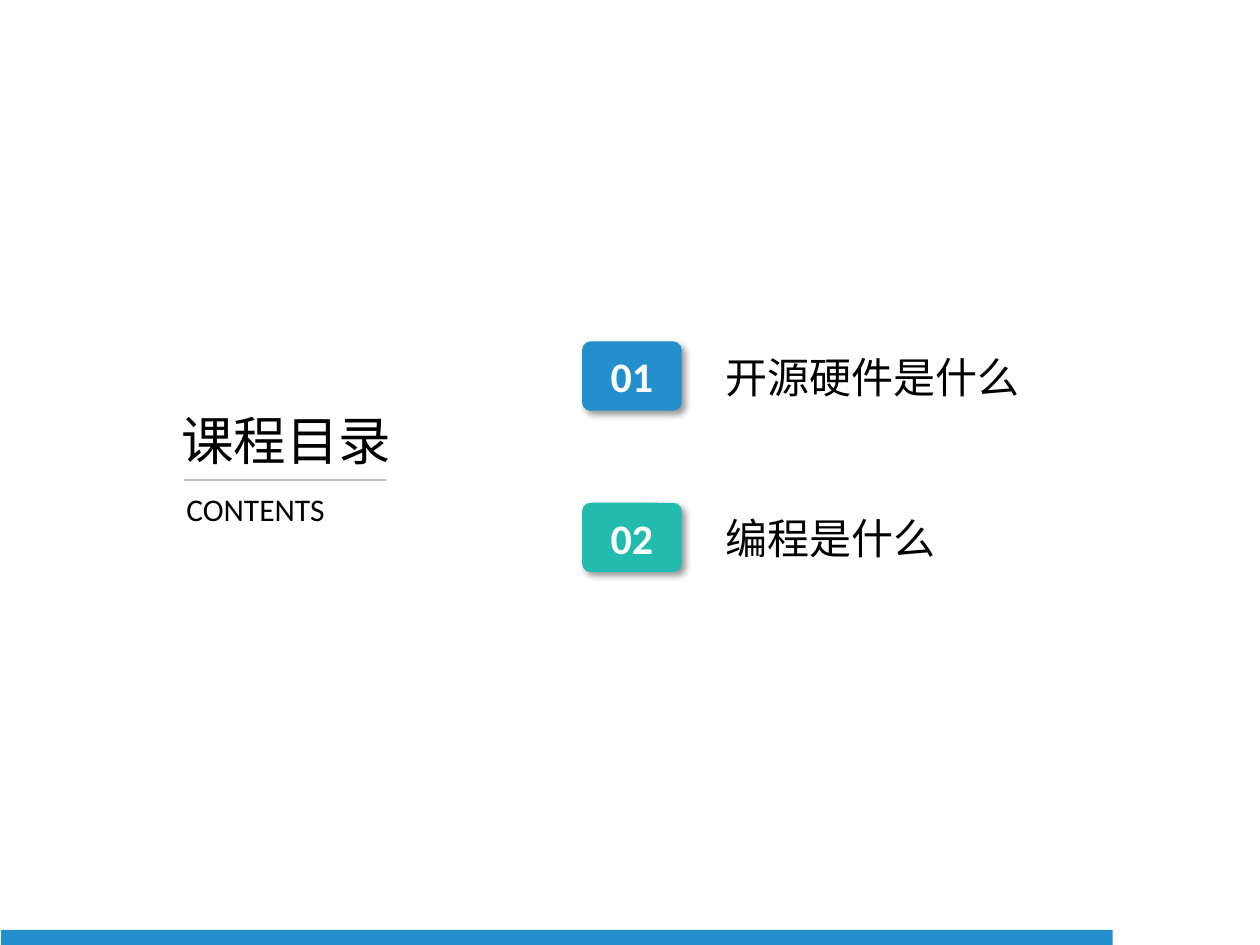
import pptx
import pptx.dml.color
import pptx.enum.shapes
import pptx.enum.text
import pptx.oxml
import pptx.oxml.ns
import pptx.util
from pptx.util import Inches

BLUE, TEAL, GREY = "2390CD", "22BCAF", "BFBFBF"
BLACK, WHITE = "000000", "FFFFFF"
CJK_FONT = "Noto Sans CJK SC"
SHAPES = pptx.enum.shapes.MSO_SHAPE
ALIGN = pptx.enum.text.PP_ALIGN
NAMESPACE = pptx.oxml.ns.nsdecls("a")


def rgb(hex_colour):
    return pptx.dml.color.RGBColor.from_string(hex_colour)


def write(shape, text, size, colour=BLACK, font="Calibri", bold=False, align=None):
    """Put one run in the shape, with the CJK font for Chinese characters."""
    paragraph = shape.text_frame.paragraphs[0]
    paragraph.alignment = align
    run = paragraph.add_run()
    run.text = text
    run.font.name = font
    run.font.size = pptx.util.Pt(size)
    run.font.bold = bold
    run.font.color.rgb = rgb(colour)
    run.font._element.append(
        pptx.oxml.parse_xml(f'<a:ea {NAMESPACE} typeface="{CJK_FONT}"/>'))


deck = pptx.Presentation()
deck.slide_width, deck.slide_height = Inches(10), Inches(7.5)
slide = deck.slides.add_slide(deck.slide_layouts[6])

# Footer bar
footer = slide.shapes.add_shape(
    SHAPES.RECTANGLE, Inches(0.01), Inches(7.38), Inches(8.82), Inches(0.12))
footer.shadow.inherit = False
footer.fill.solid()
footer.fill.fore_color.rgb = rgb(BLUE)
footer.line.fill.background()

# Heading on the left
subtitle = slide.shapes.add_textbox(Inches(1.38), Inches(3.84), Inches(1.78), Inches(0.4))
subtitle.text_frame.word_wrap = True
write(subtitle, "CONTENTS", 18, align=ALIGN.JUSTIFY)

title = slide.shapes.add_textbox(Inches(1.34), Inches(3.19), Inches(1.88), Inches(0.61))
title.text_frame.word_wrap = False
write(title, "课程目录", 30, font=CJK_FONT)

divider = slide.shapes.add_connector(
    pptx.enum.shapes.MSO_CONNECTOR.STRAIGHT,
    Inches(1.46), Inches(3.81), Inches(3.06), Inches(3.81))
divider.line.color.rgb = rgb(GREY)
divider.line.width = pptx.util.Pt(1.5)
divider._element.spPr.append(pptx.oxml.parse_xml(f"<a:effectLst {NAMESPACE}/>"))

# Numbered chapters on the right
chapters = [("开源硬件是什么", BLUE, 3.27), ("编程是什么", TEAL, 2.97)]
for index, (chapter, colour, width) in enumerate(chapters):
    top = 2.71 + 1.28 * index
    label = slide.shapes.add_textbox(
        Inches(5.66), Inches(top + 0.03), Inches(width), Inches(0.53))
    label.text_frame.word_wrap = True
    write(label, chapter, 24)

    badge = slide.shapes.add_shape(
        SHAPES.ROUNDED_RECTANGLE, Inches(4.62), Inches(top), Inches(0.79), Inches(0.55))
    badge.adjustments[0] = 0.12
    badge.fill.solid()
    badge.fill.fore_color.rgb = rgb(colour)
    badge.line.fill.background()
    badge._element.spPr.append(pptx.oxml.parse_xml(
        f'<a:effectLst {NAMESPACE}>'
        f'<a:outerShdw blurRad="{pptx.util.Pt(4)}" dist="{pptx.util.Pt(3)}" '
        f'dir="{45 * 60000}" algn="tl" rotWithShape="0">'
        f'<a:srgbClr val="{BLACK}"><a:alpha val="40000"/></a:srgbClr>'
        '</a:outerShdw></a:effectLst>'))
    badge.text_frame.vertical_anchor = pptx.enum.text.MSO_ANCHOR.MIDDLE
    write(badge, f"{index + 1:02}", 24, WHITE, bold=True, align=ALIGN.CENTER)

for text_box in (subtitle, title):
    text_box.text_frame.auto_size = pptx.enum.text.MSO_AUTO_SIZE.SHAPE_TO_FIT_TEXT

deck.save("out.pptx")
